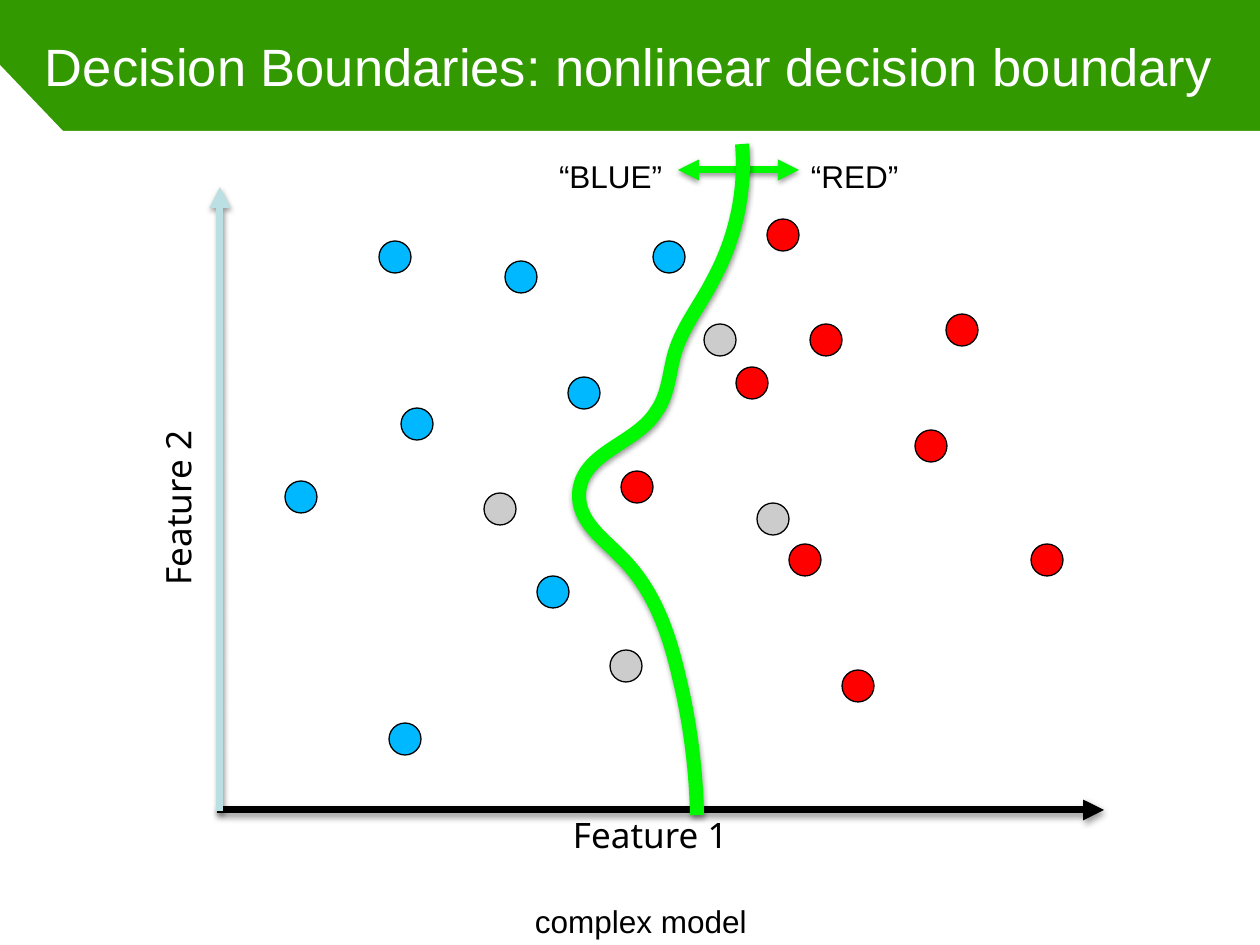
from pptx import Presentation
from pptx.dml.color import RGBColor
from pptx.enum.shapes import MSO_CONNECTOR, MSO_SHAPE
from pptx.enum.text import MSO_ANCHOR, MSO_AUTO_SIZE
from pptx.oxml import parse_xml
from pptx.oxml.ns import nsdecls, qn
from pptx.util import Emu, Pt

OVAL = MSO_SHAPE.OVAL
LINE = MSO_CONNECTOR.STRAIGHT
TOP = MSO_ANCHOR.TOP
MIDDLE = MSO_ANCHOR.MIDDLE
GROW = MSO_AUTO_SIZE.SHAPE_TO_FIT_TEXT
FIXED = MSO_AUTO_SIZE.NONE
SCALE = 914400 / 126
WIDE, HIGH = 1260, 945
BAND = 131
DOT = 32

GREEN, LIME = "339900", "00F900"
WHITE, BLACK = "FFFFFF", "000000"
BLUE, RED, GREY = "00B8FF", "FF0000", "CCCCCC"
TEAL = "BBE0E3"

DOTS = {
    BLUE: [(181, 228), (159, 61), (285, 81), (433, 61),
           (65, 301), (317, 396), (169, 543), (348, 197)],
    RED: [(590, 144), (516, 187), (569, 364), (622, 490), (547, 39),
          (695, 250), (401, 291), (811, 364), (726, 134)],
    GREY: [(484, 144), (264, 313), (537, 323), (390, 470)],
}
CURVE = [
    (522, -36),
    (526, 10), (516, 58), (493, 100),
    (481, 124), (463, 146), (455, 172),
    (449, 192), (449, 214), (436, 232),
    (415, 265), (361, 272), (359, 314),
    (358, 342), (384, 359), (402, 378),
    (434, 410), (449, 453), (459, 497),
    (470, 542), (476, 589), (477, 635),
]


def px(*nums):
    return [Emu(round(num * SCALE)) for num in nums]


def paint(item, color):
    item.solid()
    item.fore_color.rgb = RGBColor.from_string(color)


def stroke(part, color, width):
    paint(part.line.fill, color)
    part.line.width = Pt(width)


def shade(part):
    props = part.element.spPr
    for old in props.findall(qn("a:effectLst")):
        props.remove(old)
    props.append(parse_xml(
        f'<a:effectLst {nsdecls("a")}>'
        '<a:outerShdw blurRad="38100" dist="20000" dir="5400000" rotWithShape="0">'
        '<a:srgbClr val="000000"><a:alpha val="38000"/></a:srgbClr>'
        '</a:outerShdw></a:effectLst>'))


def label(slide, box, text, size, font="Arial", color=BLACK, inset=6,
          wrap=False, anchor=TOP, turn=0):
    shape = slide.shapes.add_textbox(*px(*box))
    shape.rotation = turn
    frame = shape.text_frame
    frame.word_wrap = wrap
    frame.auto_size = FIXED if wrap else GROW
    frame.vertical_anchor = anchor
    (frame.margin_left, frame.margin_top,
     frame.margin_right, frame.margin_bottom) = px(*[inset] * 4)
    run = frame.paragraphs[0].add_run()
    run.text = text
    run.font.size = Pt(size)
    run.font.name = font
    paint(run.font.fill, color)


def arrow(slide, ends, color, tips=("tailEnd",)):
    line = slide.shapes.add_connector(LINE, *px(*ends))
    stroke(line, color, 4)
    edge = line.element.spPr.find(qn("a:ln"))
    for tip in tips:
        edge.append(parse_xml(f'<a:{tip} {nsdecls("a")} type="triangle"/>'))
    shade(line)


def trace(slide, points, close):
    build = slide.shapes.build_freeform(*points[0], scale=SCALE)
    build.add_line_segments(points[1:], close=close)
    shape = build.convert_to_shape()
    shape.shadow.inherit = False
    return shape


def bend(shape):
    path = next(shape.element.iter(qn("a:path")))
    steps = path.findall(qn("a:lnTo"))
    for i in range(0, len(steps), 3):
        cubic = parse_xml(f'<a:cubicBezTo {nsdecls("a")}/>')
        for step in steps[i:i + 3]:
            cubic.append(step[0])
            path.remove(step)
        path.append(cubic)


def header(slide, left, top, width, height):
    paint(slide.background.fill, GREEN)
    half = top + height // 2
    low, right = top + height, left + width
    page = trace(slide, [(left + 63, low), (left, half), (left, HIGH),
                         (right, HIGH), (right, low)], True)
    paint(page.fill, WHITE)
    page.line.fill.background()
    label(slide, (left + 39, top, width - 54, height),
          "Decision Boundaries: nonlinear decision boundary", 30,
          color=WHITE, wrap=True, anchor=MIDDLE)


def plot(slide, left, top, width, height):
    low = top + height
    for color, spots in DOTS.items():
        for x, y in spots:
            dot = slide.shapes.add_shape(OVAL, *px(left + x, top + y, DOT, DOT))
            dot.shadow.inherit = False
            paint(dot.fill, color)
            stroke(dot, BLACK, 0.75)
    arrow(slide, (left - 3, low, left + width, low), BLACK)
    arrow(slide, (left, low + 1, left, top + 7), TEAL)
    for text, x, y, turn in (("Feature 1", 353, 634, 0),
                             ("Feature 2", -124, 305, 270)):
        label(slide, (left + x, top + y, 161, 40), text, 20,
              "Noto Sans", inset=0, turn=turn)
    for text, x, wide in (("“RED”", 585, 102), ("“BLUE”", 333, 117)):
        label(slide, (left + x, top - 29, wide, 48), text, 18)
    arrow(slide, (left + 458, top - 10, left + 579, top - 10), LIME,
          ("headEnd", "tailEnd"))
    border = trace(slide, [(left + x, top + y) for x, y in CURVE], False)
    bend(border)
    border.fill.background()
    stroke(border, LIME, 8)
    shade(border)


def main():
    deck = Presentation()
    deck.slide_width, deck.slide_height = px(WIDE, HIGH)
    slide = deck.slides.add_slide(deck.slide_layouts[6])
    header(slide, 0, 0, WIDE, BAND)
    plot(slide, 220, 180, 884, 630)
    label(slide, (529, 896, 227, 48), "complex model", 18)
    deck.save("out.pptx")


if __name__ == "__main__":
    main()
